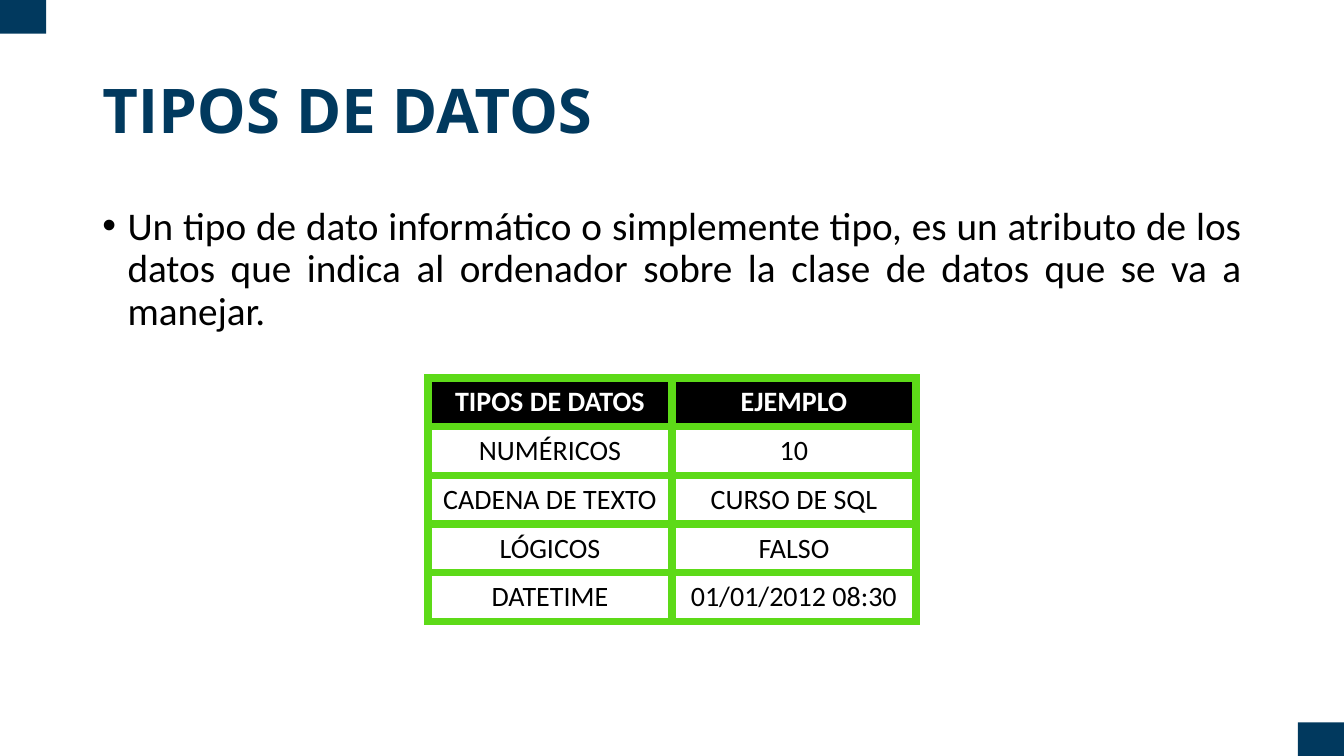
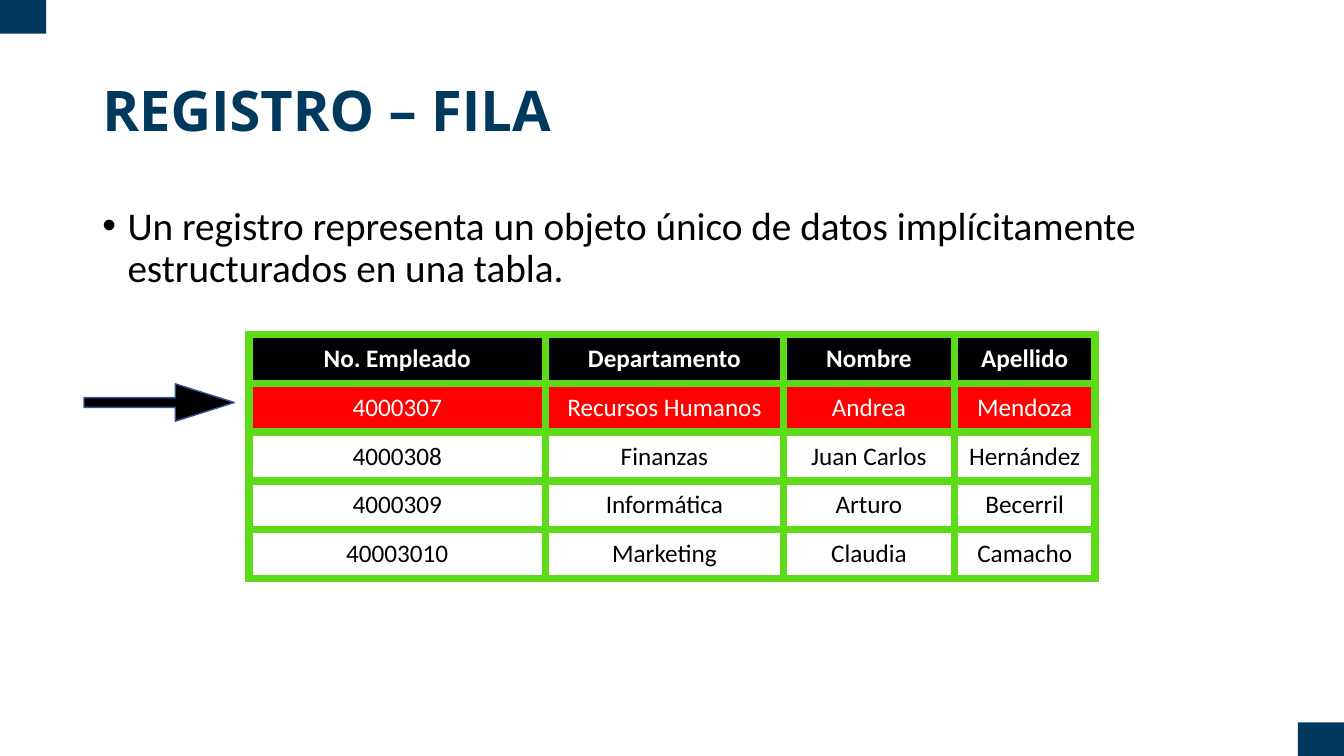
from lxml import etree
from pptx import Presentation
from pptx import util as u
from pptx.dml.color import RGBColor
from pptx.enum import shapes, text
from pptx.oxml import ns

COLUMNS, ROWS = 32, 18
NAVY = RGBColor(0x01, 0x39, 0x5E)
GREEN = RGBColor(0x5D, 0xDA, 0x18)
BLUE = RGBColor(0x32, 0x54, 0x91)
RED = RGBColor(0xFF, 0x00, 0x00)
BLACK = RGBColor(0x00, 0x00, 0x00)
WHITE = RGBColor(0xFF, 0xFF, 0xFF)
TITLE_FONT, BODY_FONT = "Open Sans", "Calibri"
LEFT, CONTENT_WIDTH = 2.2, 27.6
TABLE_ROW = 1.16
BAND_WIDTH, BAND_HEIGHT = 1.1, 0.8


def write(frame, content, font=BODY_FONT, size=28, color=BLACK, bold=False,
          align=text.PP_ALIGN.LEFT, spacing=1.0, bullet=False):
    """Fill the frame's first paragraph with one formatted run."""
    para = frame.paragraphs[0]
    para.alignment, para.line_spacing = align, spacing
    para.space_before = u.Pt(0)
    if bullet:
        properties = para._p.get_or_add_pPr()
        properties.set("marL", str(u.Inches(0.25)))
        properties.set("indent", str(-u.Inches(0.25)))
        etree.SubElement(properties, ns.qn("a:buFont"), typeface="Arial")
        etree.SubElement(properties, ns.qn("a:buChar"), char="•")
    span = para.add_run()
    span.text = content
    span.font.name, span.font.size, span.font.bold = font, u.Pt(size), bold
    span.font.color.rgb = color


def add_borders(cell, color, points):
    properties = cell._tc.get_or_add_tcPr()
    for side in ("lnL", "lnR", "lnT", "lnB"):
        line = etree.SubElement(properties, ns.qn(f"a:{side}"), w=str(u.Pt(points)))
        fill = etree.SubElement(line, ns.qn("a:solidFill"))
        etree.SubElement(fill, ns.qn("a:srgbClr"), val=str(color))


class Deck:
    """Slides on a grid of 32 columns by 18 rows."""

    def __init__(self):
        self.deck = Presentation()
        self.deck.slide_width = u.Inches(13.333)
        self.deck.slide_height = u.Inches(7.5)
        self.page = None

    def place(self, left, top, width, height):
        """Turn columns and rows into slide lengths."""
        column = self.deck.slide_width / COLUMNS
        row = self.deck.slide_height / ROWS
        return (round(left * column), round(top * row),
                round(width * column), round(height * row))

    def add_page(self, title, title_size):
        self.page = self.deck.slides.add_slide(self.deck.slide_layouts[6])
        for left, top in ((0, 0), (COLUMNS - BAND_WIDTH, ROWS - BAND_HEIGHT)):
            self.add_shape(shapes.MSO_SHAPE.RECTANGLE,
                           (left, top, BAND_WIDTH, BAND_HEIGHT), NAVY)
        self.add_text((LEFT, 0.96, CONTENT_WIDTH, 3.48), title,
                      anchor=text.MSO_ANCHOR.MIDDLE, font=TITLE_FONT,
                      size=title_size, color=NAVY, bold=True)

    def add_shape(self, kind, area, fill, line=None):
        shape = self.page.shapes.add_shape(kind, *self.place(*area))
        shape.shadow.inherit = False
        shape.fill.solid()
        shape.fill.fore_color.rgb = fill
        if line is None:
            shape.line.fill.background()
        else:
            shape.line.color.rgb = line
            shape.line.width = u.Pt(1)
        return shape

    def add_text(self, area, content, anchor=text.MSO_ANCHOR.TOP, **style):
        box = self.page.shapes.add_textbox(*self.place(*area))
        box.text_frame.word_wrap = True
        box.text_frame.vertical_anchor = anchor
        write(box.text_frame, content, spacing=0.9, **style)

    def add_body(self, content, align=text.PP_ALIGN.LEFT):
        self.add_text((LEFT, 4.8, CONTENT_WIDTH, 11.42), content,
                      align=align, bullet=True)

    def add_table(self, top, widths, records, size, marked=None):
        """Add a centred table; the marked row is highlighted in red."""
        total = sum(widths)
        area = ((COLUMNS - total) / 2, top, total, TABLE_ROW * len(records))
        table = self.page.shapes.add_table(
            len(records), len(widths), *self.place(*area)).table
        table.first_row = table.horz_banding = False
        for column, width in zip(table.columns, widths):
            column.width = self.place(0, 0, width, 0)[2]
        for index, record in enumerate(records):
            header = index == 0
            fill = BLACK if header else RED if index == marked else WHITE
            color = BLACK if fill == WHITE else WHITE
            for column, content in enumerate(record):
                cell = table.cell(index, column)
                add_borders(cell, GREEN, 6)
                cell.fill.solid()
                cell.fill.fore_color.rgb = fill
                cell.vertical_anchor = text.MSO_ANCHOR.MIDDLE
                write(cell.text_frame, content, size=size, color=color,
                      bold=header, align=text.PP_ALIGN.CENTER)

    def add_arrow(self, area, thickness, head):
        """Add a right arrow; thickness and head are shares of its height."""
        arrow = self.add_shape(shapes.MSO_SHAPE.RIGHT_ARROW, area, BLACK, BLUE)
        arrow.adjustments[0] = thickness
        arrow.adjustments[1] = head

    def save(self):
        self.deck.save("out.pptx")


def main():
    deck = Deck()

    deck.add_page("TIPOS DE DATOS", 44)
    deck.add_body("Un tipo de dato informático o simplemente tipo, es un atributo "
                  "de los datos que indica al ordenador sobre la clase de datos "
                  "que se va a manejar.", align=text.PP_ALIGN.JUSTIFY)
    deck.add_table(9, (5.81, 5.81), (
        ("TIPOS DE DATOS", "EJEMPLO"),
        ("NUMÉRICOS", "10"),
        ("CADENA DE TEXTO", "CURSO DE SQL"),
        ("LÓGICOS", "FALSO"),
        ("DATETIME", "01/01/2012 08:30"),
    ), size=20)

    deck.add_page("REGISTRO – FILA", 40)
    deck.add_body("Un registro representa un objeto único de datos implícitamente "
                  "estructurados en una tabla.")
    deck.add_table(7.97, (7.06, 5.66, 4.08, 3.34), (
        ("No. Empleado", "Departamento", "Nombre", "Apellido"),
        ("4000307", "Recursos Humanos", "Andrea", "Mendoza"),
        ("4000308", "Finanzas", "Juan Carlos", "Hernández"),
        ("4000309", "Informática", "Arturo", "Becerril"),
        ("40003010", "Marketing", "Claudia", "Camacho"),
    ), size=18, marked=1)
    deck.add_arrow((2, 9.14, 3.58, 0.89), thickness=0.26, head=1.58)

    deck.save()


if __name__ == "__main__":
    main()
